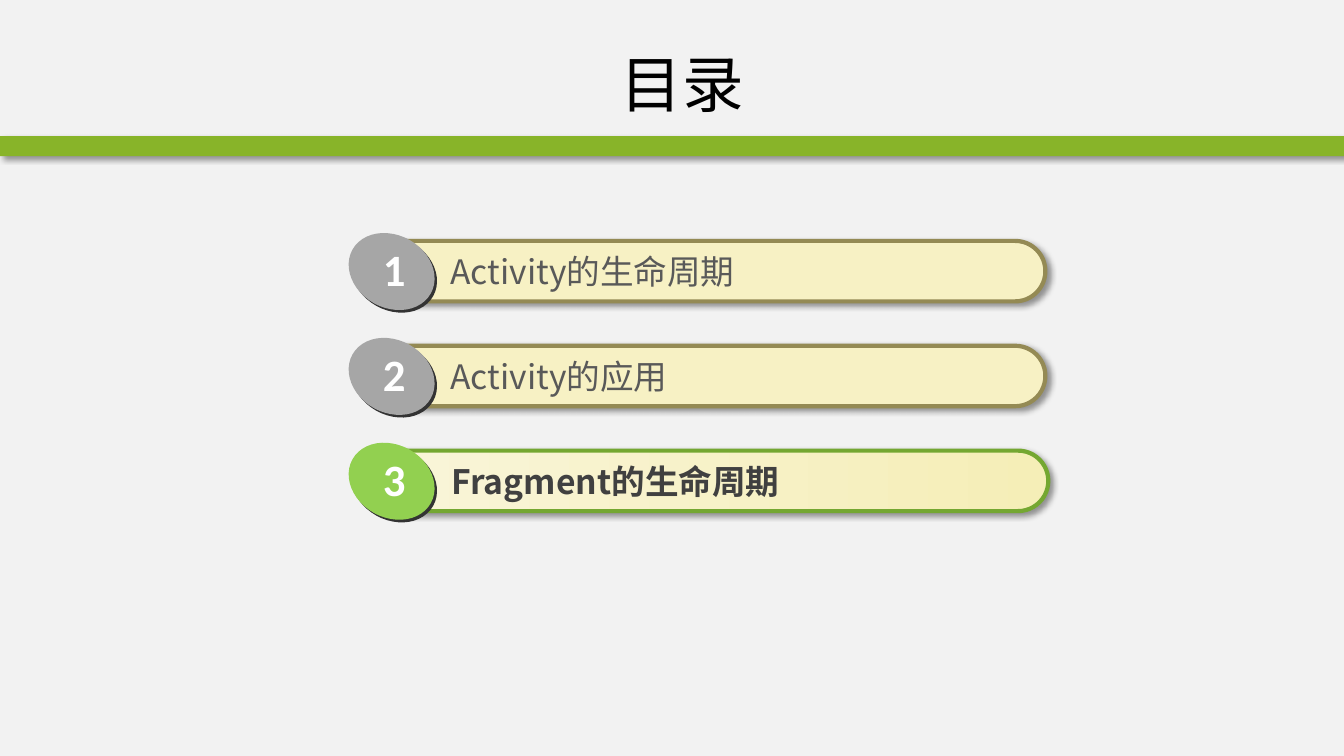
"""Build a contents slide with three numbered chapter bars, the third one active."""
from lxml.etree import SubElement as Sub
from pptx import Presentation
from pptx.dml.color import RGBColor as Rgb
from pptx.enum.shapes import MSO_SHAPE as Kind
from pptx.enum.text import MSO_ANCHOR as Anchor, MSO_AUTO_SIZE as Fit, PP_ALIGN as Align
from pptx.oxml.ns import qn
from pptx.util import Inches, Pt

WIDE, HIGH = Inches(13.333), Inches(7.5)
SANS, LATIN = "Noto Sans CJK SC", "Calibri"
HUES = {
    "back": "F2F2F2", "band": "88B429", "title": "000000", "shade": "000000",
    "cream": "F7F1C4", "pale": "F9F5D9", "sand": "F5EEB7",
    "olive": "948A54", "green": "74A731", "lime": "92D050",
    "gray": "A6A6A6", "under": "333333", "plain": "595959",
    "bold": "404040", "white": "FFFFFF",
}
TOPICS = ["Activity的生命周期", "Activity的应用", "Fragment的生命周期"]
ACTIVE = 2
TOP, PITCH = 31.87, 13.87


def hue(name):
    """Return the named colour."""
    return Rgb.from_string(HUES[name])


def place(left, top, width, height):
    """Turn percentages of the slide's size into lengths."""
    return [int(part * side / 100)
            for part, side in zip((left, top, width, height), (WIDE, HIGH) * 2)]


def draw(shapes, kind, box, fill):
    """Add a flat shape without an outline."""
    shape = shapes.add_shape(kind, *place(*box))
    shape.shadow.inherit = False
    shape.fill.solid()
    shape.fill.fore_color.rgb = hue(fill)
    shape.line.fill.background()
    return shape


def shade(shape):
    """Give a shape a soft shadow to the lower right."""
    effects = shape._element.spPr.find(qn("a:effectLst"))
    outer = Sub(effects, qn("a:outerShdw"), blurRad=str(Pt(4)), dist=str(Pt(3)),
                dir="2700000", algn="tl", rotWithShape="0")
    color = Sub(outer, qn("a:srgbClr"), val=HUES["shade"])
    Sub(color, qn("a:alpha"), val="40000")


def write(shapes, text, box, size, face, color, bold=False, wrap=True):
    """Add a text box with one formatted line."""
    label = shapes.add_textbox(*place(*box))
    frame = label.text_frame
    frame.text = text
    frame.word_wrap = wrap
    frame.auto_size = Fit.SHAPE_TO_FIT_TEXT
    font = frame.paragraphs[0].runs[0].font
    font.size, font.name, font.bold = Pt(size), face, bold
    font.color.rgb = hue(color)
    Sub(font._element, qn("a:ea"), typeface=face)
    return frame


def head(shapes):
    """Add the title and the band below it."""
    shade(draw(shapes, Kind.RECTANGLE, (0, 18, 100, 2.67), "band"))
    frame = write(shapes, "目录", (10.43, 4, 80.7, 14), 44, SANS, "title")
    frame.auto_size = Fit.NONE
    frame.vertical_anchor = Anchor.MIDDLE
    frame.paragraphs[0].alignment = Align.CENTER


def bar(shapes, top, active):
    """Add the rounded bar of a chapter."""
    box = (27.45, top, 50.55 if active else 50.33, 8)
    shape = draw(shapes, Kind.ROUNDED_RECTANGLE, box, "cream")
    shape.adjustments[0] = 0.5
    if active:
        shape.fill.gradient()
        shape.fill.gradient_angle = 0
        for stop, name in zip(shape.fill.gradient_stops, ("pale", "sand")):
            stop.color.rgb = hue(name)
    shape.line.color.rgb = hue("green" if active else "olive")
    shape.line.width = Pt(3)
    shade(shape)


def badge(shapes, top, number, color):
    """Add the tilted disc with the chapter's number."""
    for left, rise, fill in ((25.98, 0.4, "under"), (25.8, 0.75, color)):
        disc = draw(shapes, Kind.OVAL, (left, top - rise, 6.68, 9.6), fill)
        disc.rotation = 29.3
    write(shapes, str(number), (27.75, top - 0.53, 3.23, 8.53), 32, LATIN,
          "white", bold=True, wrap=False)


def topic(slide, index, text):
    """Add one chapter as a group."""
    active = index == ACTIVE
    top = TOP + index * PITCH
    shapes = slide.shapes.add_group_shape().shapes
    bar(shapes, top, active)
    write(shapes, text, (32.85 if active else 32.78, top + 0.7, 40.05, 6.8), 24,
          SANS, "bold" if active else "plain", bold=active)
    badge(shapes, top, index + 1, "lime" if active else "gray")


def main():
    """Build and save the slide."""
    deck = Presentation()
    deck.slide_width, deck.slide_height = WIDE, HIGH
    slide = deck.slides.add_slide(deck.slide_layouts[6])
    slide.background.fill.solid()
    slide.background.fill.fore_color.rgb = hue("back")
    head(slide.shapes)
    for index, text in enumerate(TOPICS):
        topic(slide, index, text)
    deck.save("out.pptx")


if __name__ == "__main__":
    main()
